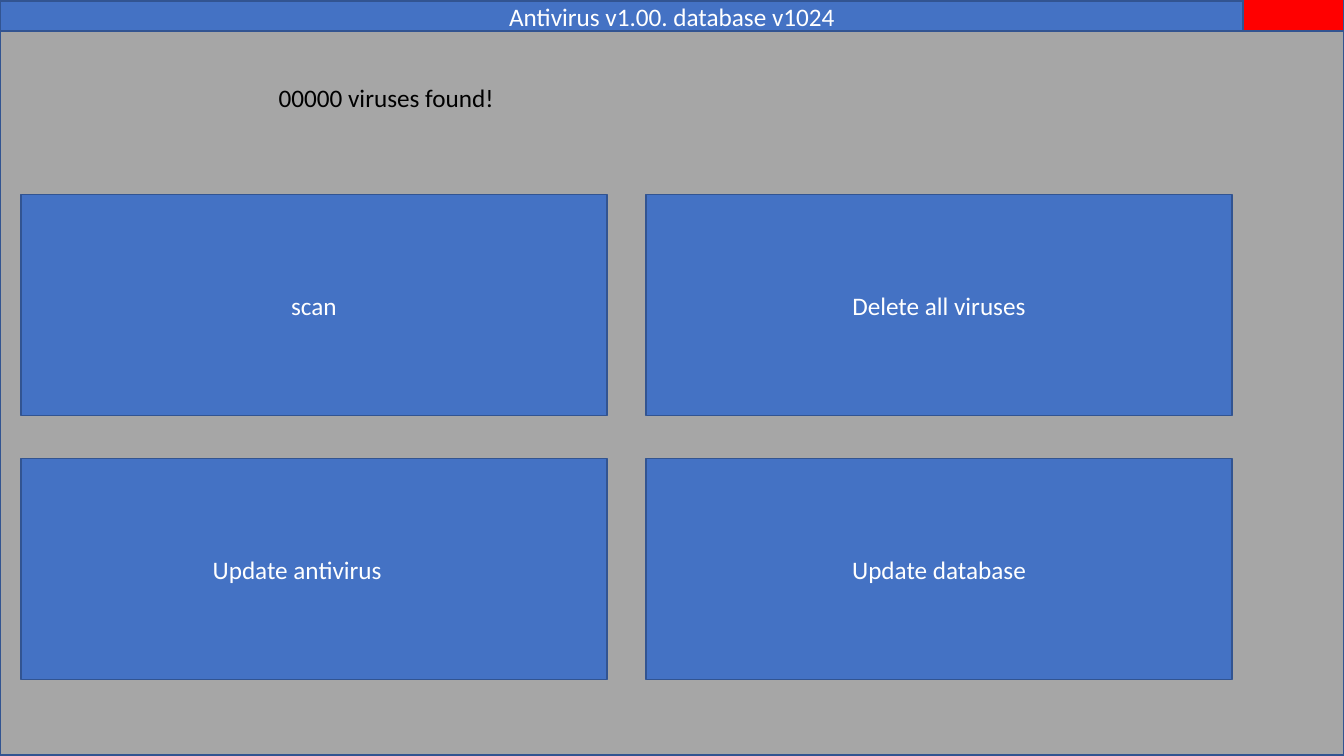
from pptx import Presentation
from pptx.dml.color import RGBColor
from pptx.enum.shapes import MSO_SHAPE as Shape
from pptx.enum.text import MSO_ANCHOR as Anchor, MSO_AUTO_SIZE as AutoSize, PP_ALIGN as Align
from pptx.util import Pt

BLUE, EDGE, GREY, RED = "4472C4", "325491", "A6A6A6", "FF0000"
WHITE, BLACK = "FFFFFF", "000000"


def colour(hex_value):
    return RGBColor.from_string(hex_value)


class Screen:
    """Holds the style and the current slide."""

    font, size = "Calibri", 18

    def __init__(self, slide):
        self.slide = slide

    def paint(self, box, fill):
        box.fill.solid()
        box.fill.fore_color.rgb = colour(fill)
        box.line.color.rgb = colour(EDGE)
        box.line.width = Pt(1)

    def add_text(self, box, text, ink=WHITE, align=Align.CENTER, anchor=Anchor.MIDDLE):
        frame = box.text_frame
        frame.word_wrap = True
        frame.vertical_anchor = anchor
        paragraph = frame.paragraphs[0]
        paragraph.alignment = align
        run = paragraph.add_run()
        run.text = text
        run.font.name, run.font.size = self.font, Pt(self.size)
        run.font.color.rgb = colour(ink)

    def title(self, text, left, top, width, height):
        bar = self.slide.shapes.title
        bar.left, bar.top, bar.width, bar.height = map(Pt, (left, top, width, height))
        self.paint(bar, BLUE)
        self.add_text(bar, text)
        bar.text_frame.auto_size = AutoSize.NONE

    def panel(self, left, top, width, height, fill):
        box = self.slide.shapes.add_shape(
            Shape.RECTANGLE, *map(Pt, (left, top, width, height)))
        box.shadow.inherit = False
        self.paint(box, fill)
        return box

    def button(self, text, left, top, width, height, right_inset):
        box = self.panel(left, top, width, height, BLUE)
        box.text_frame.margin_right = Pt(right_inset)
        self.add_text(box, text)

    def label(self, text, left, top, width, height):
        box = self.slide.shapes.add_textbox(*map(Pt, (left, top, width, height)))
        self.add_text(box, text, BLACK, Align.LEFT, Anchor.TOP)
        box.text_frame.auto_size = AutoSize.SHAPE_TO_FIT_TEXT


def main():
    deck = Presentation()
    deck.slide_width, deck.slide_height = Pt(960), Pt(540)
    screen = Screen(deck.slides.add_slide(deck.slide_layouts[5]))

    # Window: title bar, body and close button
    screen.title("Antivirus v1.00. database v1024", 0, 0.7, 960, 21.6)
    screen.panel(0, 22.3, 960, 517, GREY)
    screen.panel(888, -2, 72, 24, RED)

    # Command grid, two by two; a wider right inset moves a caption left
    commands = [
        ("scan", 7.2), ("Delete all viruses", 7.2),
        ("Update antivirus", 31), ("Update database", 7.2),
    ]
    for index, (caption, right_inset) in enumerate(commands):
        row, column = divmod(index, 2)
        screen.button(caption, 15 + column * 446.5, 139 + row * 188.6,
                      418.5, 157.7, right_inset)

    # Scan result
    screen.label("00000 viruses found!", 192, 55, 680, 29)

    deck.save("out.pptx")


if __name__ == "__main__":
    main()
